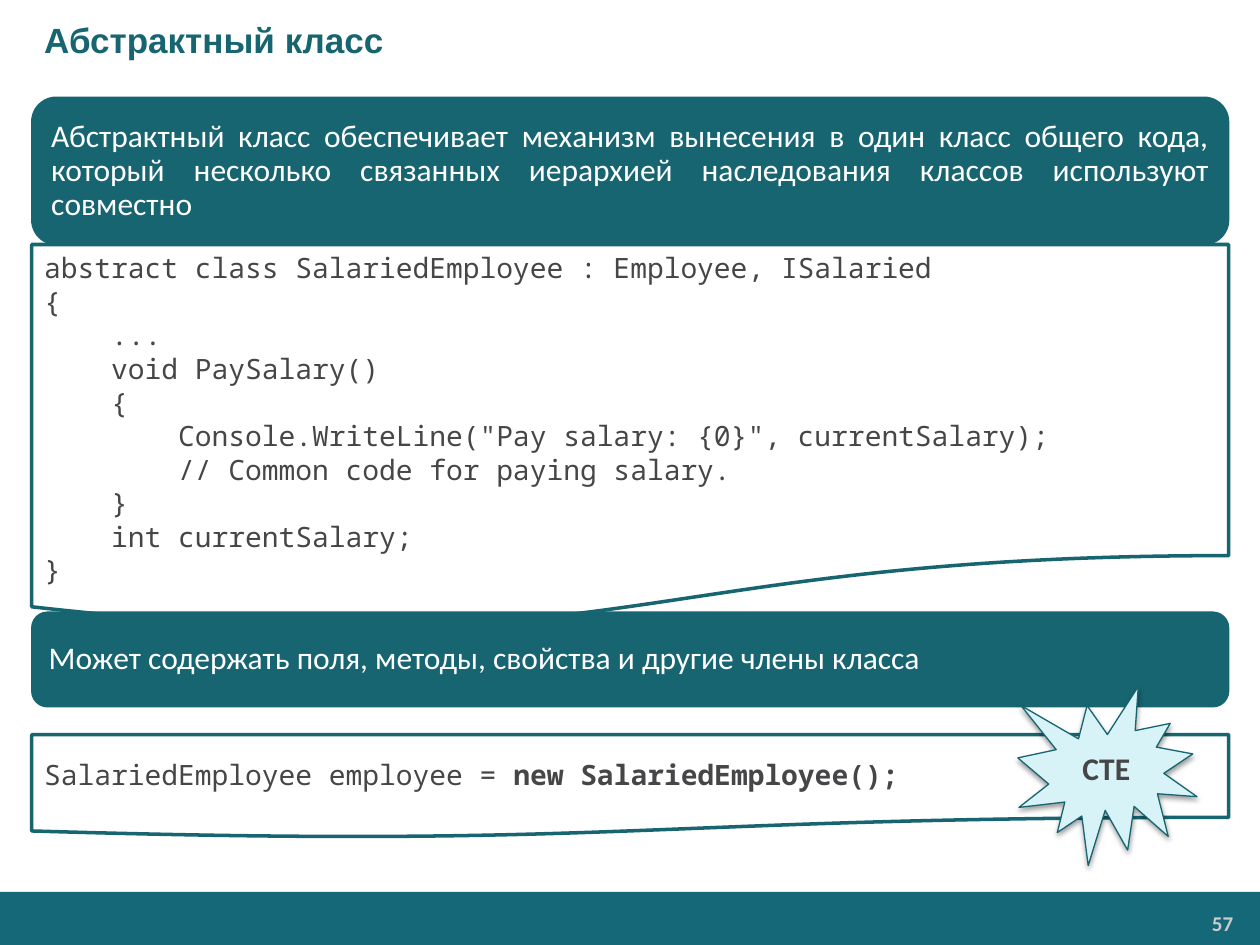
from dataclasses import dataclass

from lxml.etree import SubElement
from pptx import Presentation
from pptx.dml.color import RGBColor
from pptx.enum.shapes import MSO_SHAPE as Shape
from pptx.enum.text import MSO_ANCHOR as Anchor, PP_ALIGN as Align
from pptx.oxml.ns import qn
from pptx.util import Cm, Pt


@dataclass(frozen=True)
class Theme:
    """Colours, fonts and type sizes of the slide."""
    teal: str = "176571"
    footer: str = "146878"
    ink: str = "464547"
    white: str = "FFFFFF"
    pale: str = "D7F3F7"
    grey: str = "CCCCCC"
    title_font: str = "Arial"
    body_font: str = "Calibri"
    code_font: str = "Noto Sans Mono"
    title_size: int = 20
    body_size: int = 18
    code_size: int = 16
    number_size: int = 12


THEME = Theme()
LEFT, WIDTH = 0.64, 24.13
CLASS_CODE = """abstract class SalariedEmployee : Employee, ISalaried
{
    ...
    void PaySalary()
    {
        Console.WriteLine("Pay salary: {0}", currentSalary);
        // Common code for paying salary.
    }
    int currentSalary;
}"""


def format_text(text_frame, font, size, color, bold=False, align=Align.LEFT, spacing=None):
    """Format every paragraph and run of a text frame."""
    text_frame.word_wrap = True
    for paragraph in text_frame.paragraphs:
        paragraph.alignment = align
        paragraph.line_spacing = spacing
        for run in paragraph.runs:
            run.font.name = font
            run.font.size = Pt(size)
            run.font.bold = bold
            run.font.color.rgb = RGBColor.from_string(color)


def add_block(slide, kind, box, fill, line=None, line_width=0.75):
    """Add a flat preset shape; box is left, top, width, height in cm."""
    shape = slide.shapes.add_shape(kind, *map(Cm, box))
    shape.shadow.inherit = False
    shape.fill.solid()
    shape.fill.fore_color.rgb = RGBColor.from_string(fill)
    if line:
        shape.line.color.rgb = RGBColor.from_string(line)
        shape.line.width = Pt(line_width)
    else:
        shape.line.fill.background()
    shape.text_frame.vertical_anchor = Anchor.MIDDLE
    return shape


def add_title(slide, text):
    """Place and format the title placeholder."""
    title = slide.shapes.title
    title.left, title.top, title.width, title.height = map(Cm, (0, 0, 25.4, 1.6))
    text_frame = title.text_frame
    text_frame.text = text
    text_frame.margin_left = Cm(0.89)
    text_frame.vertical_anchor = Anchor.MIDDLE
    format_text(text_frame, THEME.title_font, THEME.title_size, THEME.teal, bold=True)


def add_banner(slide, top, height, text):
    """Add a teal rounded statement."""
    shape = add_block(slide, Shape.ROUNDED_RECTANGLE, (LEFT, top, WIDTH, height),
                      THEME.teal, THEME.teal)
    shape.text_frame.text = text
    format_text(shape.text_frame, THEME.body_font, THEME.body_size, THEME.white,
                align=Align.JUSTIFY, spacing=0.9)


def add_code(slide, top, height, code, anchor=Anchor.MIDDLE, spacing=None):
    """Add a code sheet with a wavy lower edge and return its text frame."""
    shape = add_block(slide, Shape.FLOWCHART_DOCUMENT, (LEFT, top, WIDTH, height),
                      THEME.white, THEME.teal, 2)
    text_frame = shape.text_frame
    text_frame.text = code
    text_frame.vertical_anchor = anchor
    format_text(text_frame, THEME.code_font, THEME.code_size, THEME.ink, spacing=spacing)
    return text_frame


def add_bold_run(paragraph, text):
    """Append a bold run that otherwise matches the first run."""
    first = paragraph.runs[0].font
    run = paragraph.add_run()
    run.text = text
    run.font.name, run.font.size, run.font.bold = first.name, first.size, True
    run.font.color.rgb = first.color.rgb


def add_shadow(shape):
    """Give a shape a soft shadow straight below it."""
    effects = shape._element.spPr.find(qn("a:effectLst"))
    shadow = SubElement(effects, qn("a:outerShdw"), blurRad=str(Pt(3.1)),
                        dist=str(Pt(1.6)), dir="5400000", rotWithShape="0")
    color = SubElement(shadow, qn("a:srgbClr"), val="000000")
    SubElement(color, qn("a:alpha"), val="38000")


def add_burst(slide, text):
    """Add the starburst that marks a compile-time error."""
    shape = add_block(slide, Shape.EXPLOSION1, (20.52, 13.84, 3.61, 3.61),
                      THEME.pale, THEME.teal)
    add_shadow(shape)
    shape.text_frame.text = text
    format_text(shape.text_frame, THEME.body_font, THEME.body_size, THEME.ink,
                bold=True, align=Align.CENTER, spacing=0.9)


def add_footer(slide, number):
    """Add the bottom bar with the page number."""
    add_block(slide, Shape.RECTANGLE, (0, 17.98, 25.4, 1.07), THEME.footer)
    box = slide.shapes.add_textbox(*map(Cm, (20.9, 18.26, 4.14, 0.71)))
    text_frame = box.text_frame
    text_frame.text = number
    text_frame.margin_left = text_frame.margin_right = Cm(0.18)
    text_frame.margin_top = text_frame.margin_bottom = Cm(0.1)
    format_text(text_frame, THEME.body_font, THEME.number_size, THEME.grey,
                bold=True, align=Align.RIGHT)


def main():
    """Build and save the slide."""
    presentation = Presentation()
    presentation.slide_width, presentation.slide_height = Cm(25.4), Cm(19.05)
    slide = presentation.slides.add_slide(presentation.slide_layouts[5])
    add_footer(slide, "57")
    add_title(slide, "Абстрактный класс")
    add_banner(slide, 1.96, 2.97,
               "Абстрактный класс обеспечивает механизм вынесения в один класс общего кода, "
               "который несколько связанных иерархией наследования классов используют совместно")
    add_code(slide, 4.93, 7.82, CLASS_CODE, Anchor.TOP)
    add_banner(slide, 12.34, 1.91,
               "Может содержать поля, методы, свойства и другие члены класса")
    call = add_code(slide, 14.81, 2.08, "SalariedEmployee employee =", spacing=0.9)
    add_bold_run(call.paragraphs[0], " new SalariedEmployee();")
    add_burst(slide, "CTE")
    presentation.save("out.pptx")


if __name__ == "__main__":
    main()
